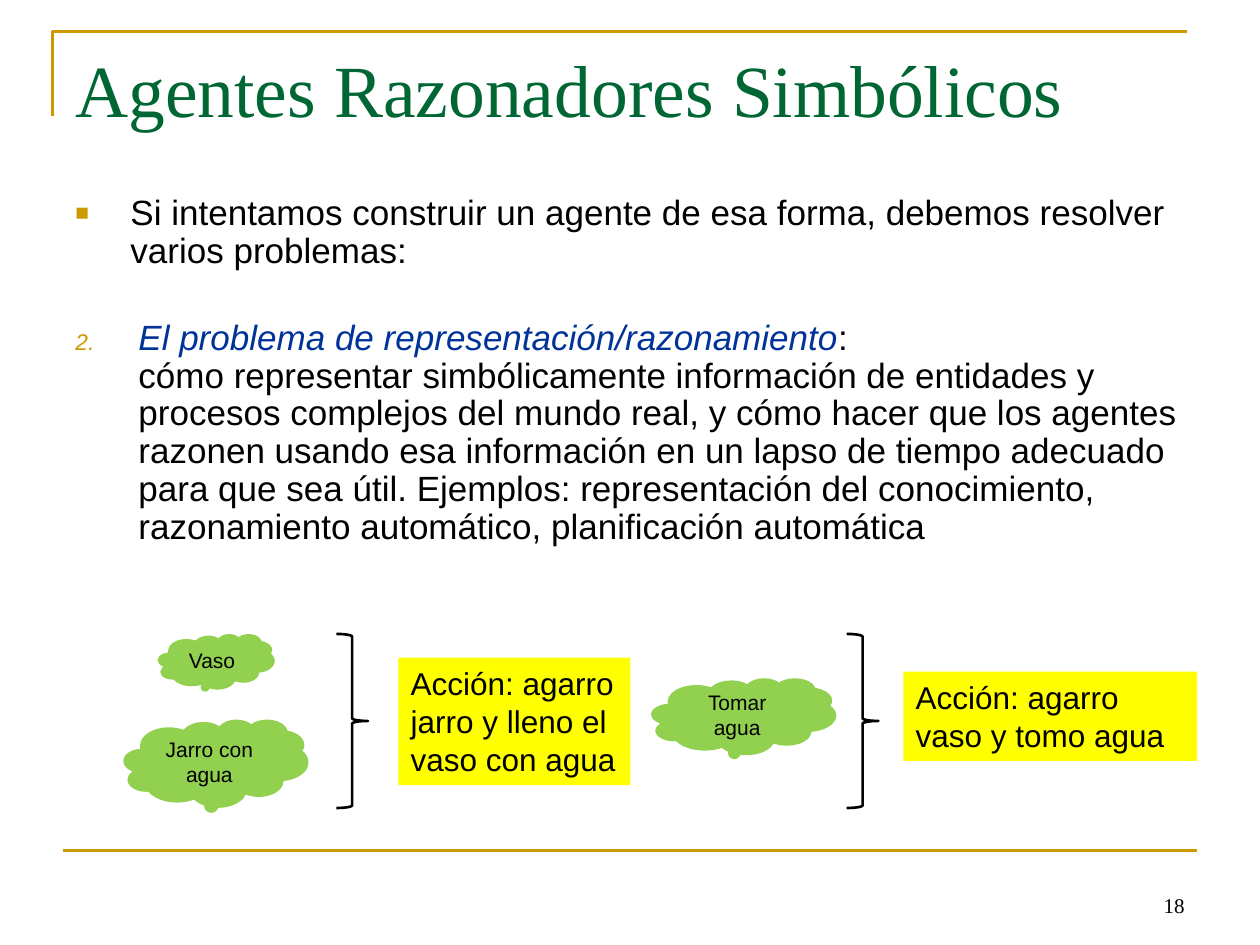
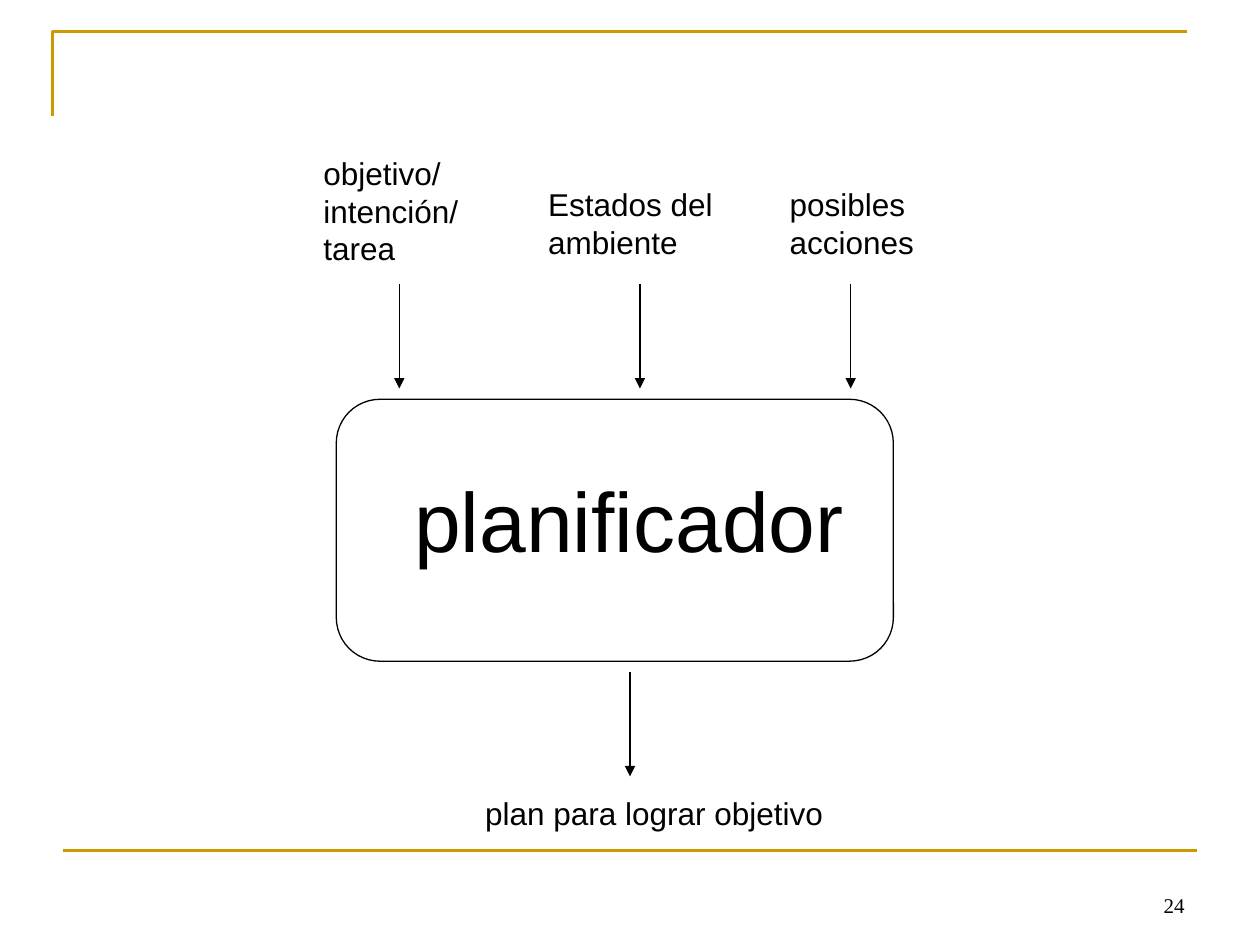
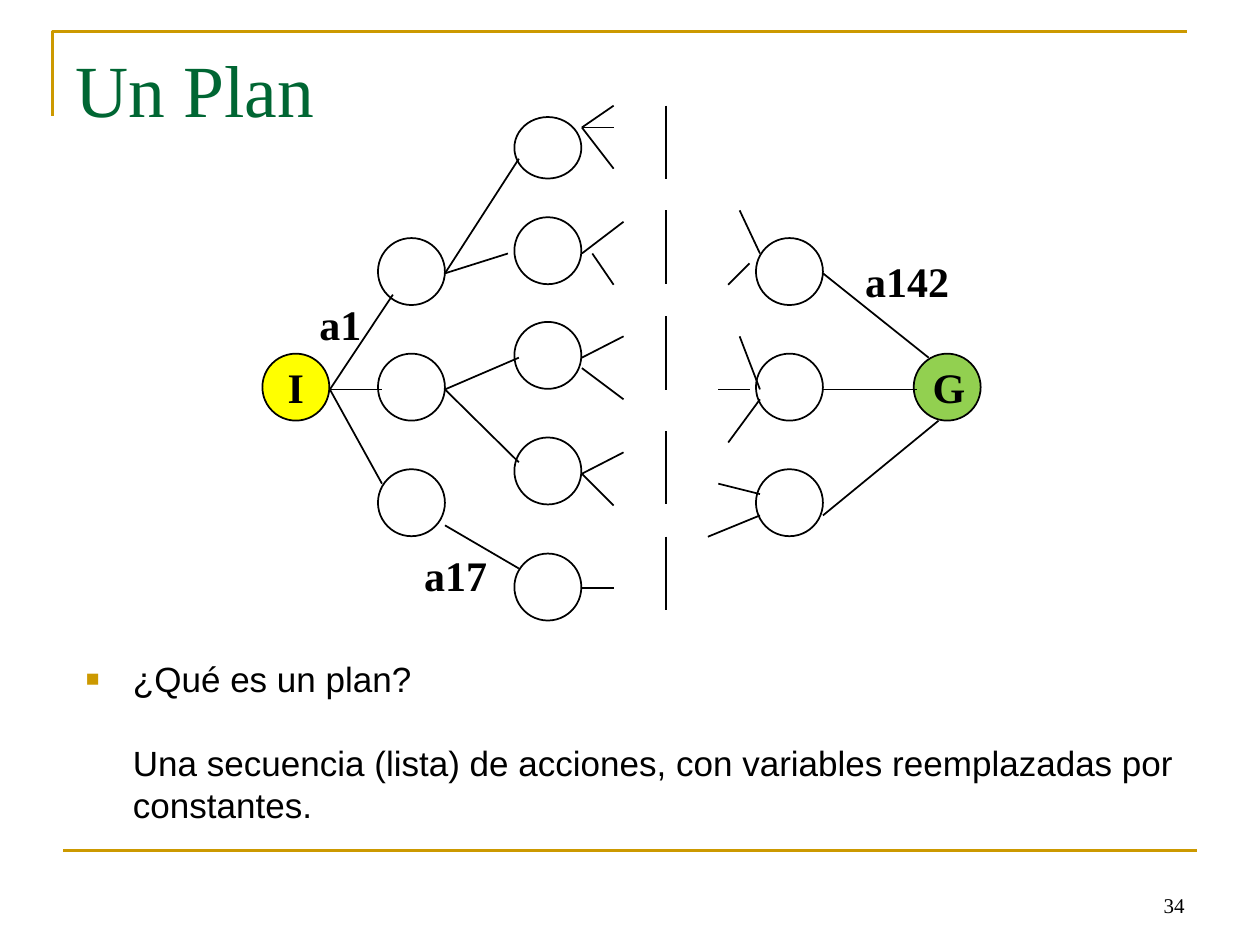
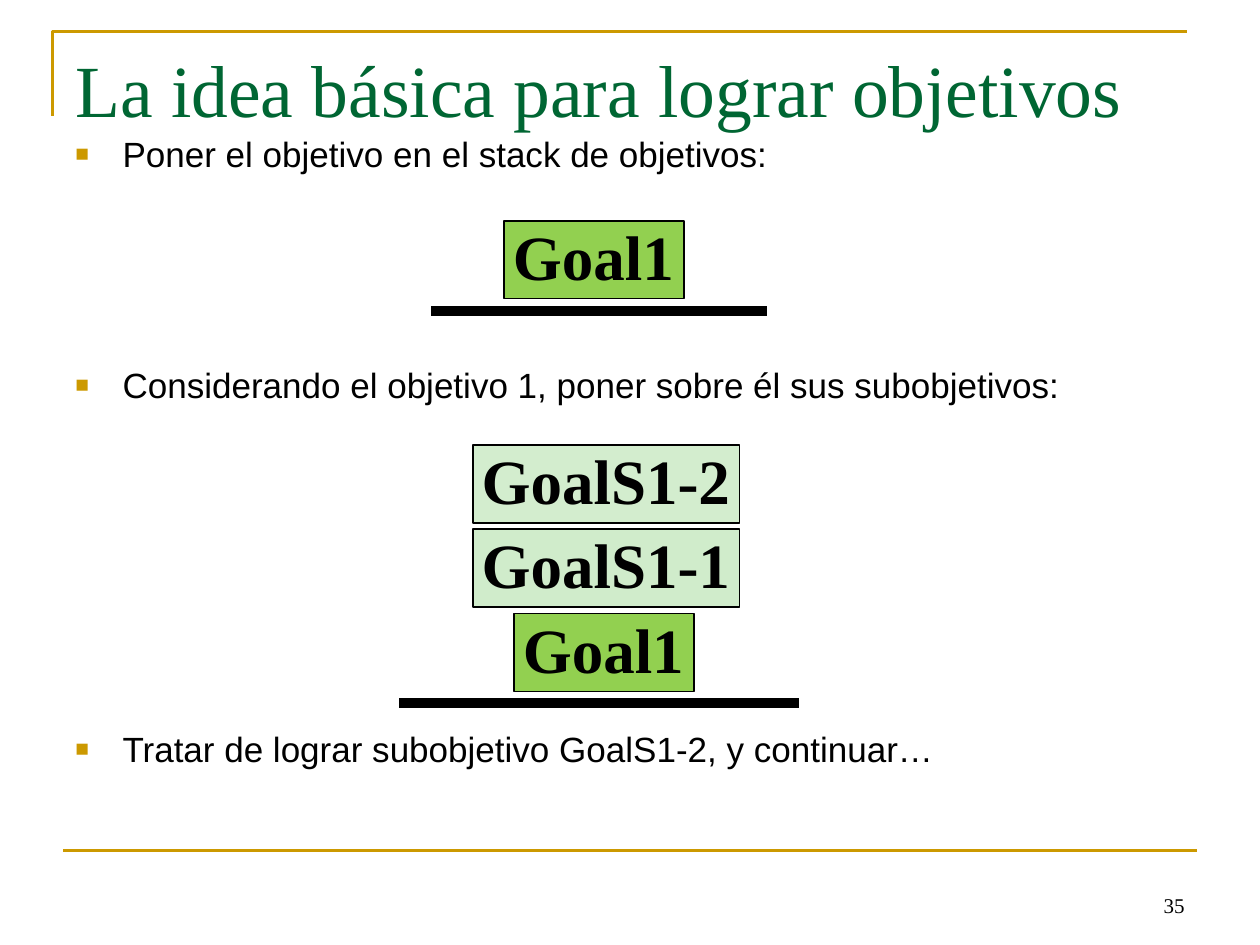
from lxml import etree
from pptx import Presentation, util as u
from pptx.dml.color import RGBColor
from pptx.enum import shapes, text
from pptx.oxml.ns import qn

Cm, Pt = u.Cm, u.Pt
S, AL, AN = shapes.MSO_SHAPE, text.PP_ALIGN, text.MSO_ANCHOR

# Shared style
COLORS = {"gold": "CC9900", "title": "006633", "blue": "003399", "black": "000000",
          "white": "FFFFFF", "yellow": "FFFF00", "green": "92D050",
          "pale": "D3EDCE", "mint": "D0ECCB"}
SANS, SERIF = "Arial", "Times New Roman"
TITLE_BOX = (1.27, 0.76, 22.86, 3.18)
NUMBER_BOX = (18.2, 17.36, 5.93, 1.27)
TIGHT = (0.18, 0.08)
LABEL = dict(size=24, font=SERIF, bold=True, spacing=0.85, inset=TIGHT, wrap=False, grow=True)
GOAL = dict(LABEL, size=36, spacing=0.92)

# Slide 1: symbolic reasoning agents
REASONING = {
    "number": 18, "title": "Agentes Razonadores Simbólicos",
    "body_box": (1.27, 3.81, 22.86, 7.62), "spacing": 0.9,
    "body": [
        dict(runs="Si intentamos construir un agente de esa forma, debemos resolver varios problemas:",
             indent=1.11, bullet="■"),
        dict(runs=[("El problema de representación/razonamiento", dict(color="blue", italic=True)),
                   (":\ncómo representar simbólicamente información de entidades y procesos "
                    "complejos del mundo real, y cómo hacer que los agentes razonen usando esa "
                    "información en un lapso de tiempo adecuado para que sea útil. Ejemplos: "
                    "representación del conocimiento, razonamiento automático, planificación "
                    "automática", {})],
             indent=1.27, start=2, before=28),
    ],
}
CLOUDS = [  # text, box, pointer
    ("Vaso", (3.18, 12.78, 2.36, 1.12), (-0.07, 0.34)),
    ("Jarro con agua", (2.49, 14.5, 3.73, 1.78), (-0.02, 0.38)),
    ("Tomar agua", (13.13, 13.67, 3.73, 1.55), (-0.04, 0.37)),
]
ACTIONS = [
    ("Acción: agarro jarro y lleno el vaso con agua", (8.03, 13.26, 4.68, 2.57)),
    ("Acción: agarro vaso y tomo agua", (18.21, 13.54, 5.92, 1.8)),
]
BRACE_X, BRACE_Y, BRACE_SIZE = (6.78, 17.07), 12.78, (0.64, 3.51)

# Slide 2: planner
PLANNER = {"number": 24}
PLANNER_BOX = (6.78, 8.05, 11.23, 5.28)
PLANNER_TEXTS = [  # text, box, size
    ("objetivo/\nintención/\ntarea", (6.27, 2.97, 3.68, 2.54), 18),
    ("Estados del ambiente", (10.8, 3.61, 4.01, 1.78), 18),
    ("posibles\nacciones", (15.67, 3.61, 4.88, 1.78), 18),
    ("planificador", (8.1, 9.32, 9.47, 2.29), 48),
    ("plan para lograr objetivo", (9.53, 15.88, 8.03, 1.02), 18),
]
ARROWS = [(x, 5.72) for x in (8.05, 12.9, 17.15)] + [(12.7, 13.54)]
ARROW_LENGTH = 2.11

# Slide 3: search tree
PLAN = {
    "number": 34, "title": "Un Plan",
    "body_box": (1.48, 13.13, 22.86, 4.23),
    "body": [
        dict(runs="¿Qué es un plan?", indent=0.95, bullet="■"),
        dict(runs="Una secuencia (lista) de acciones, con variables reemplazadas por constantes.",
             indent=0.95, hanging=False, before=24),
    ],
}
NODE = 1.35
ROWS = [4.8 + 2.33 * i for i in range(3)]
NODE_COLUMNS = [  # left, tops, fill
    (5.29, ROWS[1:2], "yellow"),
    (7.62, ROWS, None),
    (15.24, ROWS, None),
    (18.42, ROWS[1:2], "green"),
    (10.37, (2.36, 4.38, 6.49, 8.82, 11.16), None),
]
TOP_NODE_HEIGHT = 1.24
FANS = [  # start, ends
    ((6.65, 7.85), [(7.7, 7.85), (7.92, 5.94), (7.7, 9.75)]),
    ((8.97, 5.51), [(10.24, 5.11), (10.46, 3.2)]),
    ((8.97, 7.85), [(10.46, 7.21), (10.46, 9.32)]),
    ((8.97, 10.59), [(10.46, 11.46)]),
    ((16.59, 5.51), [(18.72, 7.21)]),
    ((16.59, 7.85), [(18.49, 7.85)]),
    ((16.59, 10.39), [(18.92, 8.48)]),
    ((11.73, 2.57), [(12.37, 2.13), (12.37, 2.57), (12.37, 3.4)]),
    ((11.73, 5.11), [(12.57, 4.47)]),
    ((11.94, 5.11), [(12.37, 5.74)]),
    ((11.73, 7.21), [(12.57, 6.78)]),
    ((11.73, 7.42), [(12.57, 8.05)]),
    ((11.73, 9.55), [(12.57, 9.12), (12.37, 10.19)]),
    ((11.73, 11.86), [(12.37, 11.86)]),
    ((15.32, 5.11), [(14.91, 4.24)]),
    ((15.11, 5.31), [(14.68, 5.74)]),
    ((15.32, 7.85), [(14.91, 6.78)]),
    ((15.11, 7.85), [(14.48, 7.85)]),
    ((15.32, 8.05), [(14.68, 8.92)]),
    ((15.32, 9.96), [(14.48, 9.75)]),
    ((15.32, 10.39), [(14.27, 10.82)]),
]
DASH_X, DASH_TOPS, DASH_LENGTH = 13.42, (2.13, 4.24, 6.38, 8.69, 10.82), 1.48
LABELS = [
    ("I", (5.62, 7.37, 0.72, 1.02)), ("G", (18.62, 7.37, 1.05, 1.02)),
    ("a1", (6.26, 6.1, 1.3, 1.02)), ("a17", (8.37, 11.16, 1.72, 1.02)),
    ("a142", (17.26, 5.23, 2.15, 1.02)),
]

# Slide 4: goal stack
GOALS = {
    "number": 35, "title": "La idea básica para lograr objetivos",
    "body_box": (1.27, 2.54, 22.86, 14.81),
    "body": [
        dict(runs=line, indent=0.95, bullet="■", before=before) for line, before in (
            ("Poner el objetivo en el stack de objetivos:", 0),
            ("Considerando el objetivo 1, poner sobre él sus subobjetivos:", 108),
            ("Tratar de lograr subobjetivo GoalS1-2, y continuar…", 184))
    ],
}
GOAL_HEIGHT, GOAL_STEP = 1.57, 1.7
STACKS = [  # top, goals (text, left, width, fill), base line (x1, x2, y)
    (4.45, [("Goal1", 10.16, 3.63, "green")], (8.69, 15.47, 6.27)),
    (8.97, [("GoalS1-2", 9.53, 5.38, "pale"), ("GoalS1-1", 9.53, 5.38, "mint"),
            ("Goal1", 10.36, 3.63, "green")], (8.05, 16.1, 14.17)),
]


def rgb(name):
    return RGBColor.from_string(COLORS[name])


def add_sub(parent, tag, **attrs):
    return etree.SubElement(parent, qn(tag), attrs)


def set_bullet(p, indent, bullet=None, start=None, hanging=True):
    pPr = p._p.get_or_add_pPr()
    pPr.set("marL", str(Cm(indent)))
    pPr.set("indent", str(-Cm(indent) if hanging else 0))
    if not (bullet or start):
        add_sub(pPr, "a:buNone")
        return
    add_sub(add_sub(pPr, "a:buClr"), "a:srgbClr", val=COLORS["gold"])
    add_sub(pPr, "a:buSzPct", val="65000")
    add_sub(pPr, "a:buFont", typeface=SANS)
    if start:
        add_sub(pPr, "a:buAutoNum", type="arabicPeriod", startAt=str(start))
    else:
        add_sub(pPr, "a:buChar", char=bullet)


def write(sp, content, size=18, font=SANS, color="black", bold=False, align=AL.LEFT,
          anchor=AN.TOP, spacing=1.0, inset=(0.25, 0.13), wrap=True, grow=False):
    """Fill a shape with one string or a list of paragraph dicts."""
    tf = sp.text_frame
    tf.word_wrap = wrap
    tf.auto_size = text.MSO_AUTO_SIZE.SHAPE_TO_FIT_TEXT if grow else text.MSO_AUTO_SIZE.NONE
    tf.vertical_anchor = anchor
    tf.margin_left = tf.margin_right = Cm(inset[0])
    tf.margin_top = tf.margin_bottom = Cm(inset[1])
    paragraphs = [dict(runs=content)] if isinstance(content, str) else content
    for i, item in enumerate(paragraphs):
        p = tf.add_paragraph() if i else tf.paragraphs[0]
        if "indent" in item:
            set_bullet(p, item["indent"], item.get("bullet"), item.get("start"),
                       item.get("hanging", True))
        p.alignment, p.line_spacing = align, spacing
        p.space_before = Pt(item.get("before", 0))
        runs = item["runs"]
        for words, extra in [(runs, {})] if isinstance(runs, str) else runs:
            for j, line in enumerate(words.split("\n")):
                if j:
                    p.add_line_break()
                r = p.add_run()
                r.text = line
                r.font.size, r.font.name, r.font.bold = Pt(size), font, bold
                r.font.italic = extra.get("italic", False)
                r.font.color.rgb = rgb(extra.get("color", color))


def place(sp, box):
    sp.left, sp.top, sp.width, sp.height = map(Cm, box)


def paint(sp, fill=None, line=None, width=1.0):
    sp.shadow.inherit = False
    if fill:
        sp.fill.solid()
        sp.fill.fore_color.rgb = rgb(fill)
    else:
        sp.fill.background()
    if line:
        sp.line.color.rgb = rgb(line)
        sp.line.width = Pt(width)
    else:
        sp.line.fill.background()
    return sp


def add_shape(s, kind, box, **look):
    return paint(s.shapes.add_shape(kind, *map(Cm, box)), **look)


def add_text(s, content, box, **look):
    write(s.shapes.add_textbox(*map(Cm, box)), content, **look)


def add_line(s, start, end, color="black", width=1.0, arrow=False):
    line = s.shapes.add_connector(shapes.MSO_CONNECTOR.STRAIGHT, *map(Cm, (*start, *end)))
    line.line.color.rgb = rgb(color)
    line.line.width = Pt(width)
    spPr = line.element.spPr
    if arrow:
        add_sub(spPr.find(qn("a:ln")), "a:tailEnd", type="triangle")
    add_sub(spPr, "a:effectLst")
    return line


def add_frame(prs, s):
    """Draw the gold corner and base line, then move them to the slide master."""
    corner = [(Cm(x), Cm(y)) for x, y in ((1.06, 2.33), (1.06, 0.63), (23.92, 0.63))]
    builder = s.shapes.build_freeform(*corner[0], scale=1.0)
    builder.add_line_segments(corner[1:], close=False)
    frame = paint(builder.convert_to_shape(), line="gold", width=1.5)
    base = add_line(s, (1.27, 17.15), (24.13, 17.15), "gold", 1.5)
    for sp in (frame, base):
        prs.slide_master.shapes.element.append(sp.element)


def new_slide(prs, content):
    """Add a slide with its number, title and body text."""
    layout = 1 if "title" in content else 6
    s = prs.slides.add_slide(prs.slide_layouts[layout])
    add_text(s, str(content["number"]), NUMBER_BOX, size=12, font=SERIF,
             align=AL.RIGHT, anchor=AN.BOTTOM)
    if "title" in content:
        place(s.shapes.title, TITLE_BOX)
        write(s.shapes.title, content["title"], size=42, font=SERIF, color="title")
        body = s.placeholders[1]
        place(body, content["body_box"])
        write(body, content["body"], size=20, spacing=content.get("spacing", 1.0))
    return s


def build_reasoning(s):
    for words, box, pointer in CLOUDS:
        cloud = add_shape(s, S.CLOUD_CALLOUT, box, fill="green")
        cloud.adjustments[0], cloud.adjustments[1] = pointer
        write(cloud, words, size=12, align=AL.CENTER, anchor=AN.MIDDLE)
    for x in BRACE_X:
        add_shape(s, S.RIGHT_BRACE, (x, BRACE_Y, *BRACE_SIZE), line="black", width=1.5)
    for words, box in ACTIONS:
        write(add_shape(s, S.RECTANGLE, box, fill="yellow"), words)


def build_planner(s):
    add_shape(s, S.ROUNDED_RECTANGLE, PLANNER_BOX, fill="white", line="black", width=0.75)
    for words, box, size in PLANNER_TEXTS:
        add_text(s, words, box, size=size)
    for x, y in ARROWS:
        add_line(s, (x, y), (x, y + ARROW_LENGTH), width=0.75, arrow=True)


def build_plan(s):
    for x, tops, fill in NODE_COLUMNS:
        for y in tops:
            height = TOP_NODE_HEIGHT if y < 3 else NODE
            add_shape(s, S.OVAL, (x, y, NODE, height), fill=fill, line="black")
    for start, ends in FANS:
        for end in ends:
            add_line(s, start, end)
    for y in DASH_TOPS:
        add_line(s, (DASH_X, y), (DASH_X, y + DASH_LENGTH))
    for words, box in LABELS:
        add_text(s, words, box, **LABEL)


def build_goals(s):
    for top, goals, (x1, x2, y) in STACKS:
        for i, (words, left, width, fill) in enumerate(goals):
            box = (left, top + i * GOAL_STEP, width, GOAL_HEIGHT)
            write(add_shape(s, S.RECTANGLE, box, fill=fill, line="black"), words, **GOAL)
        add_line(s, (x1, y), (x2, y), width=6)


def main():
    prs = Presentation()
    prs.slide_width, prs.slide_height = Cm(25.4), Cm(19.05)
    pages = [(REASONING, build_reasoning), (PLANNER, build_planner),
             (PLAN, build_plan), (GOALS, build_goals)]
    for content, build in pages:
        build(new_slide(prs, content))
    add_frame(prs, prs.slides[0])
    prs.save("out.pptx")


if __name__ == "__main__":
    main()
